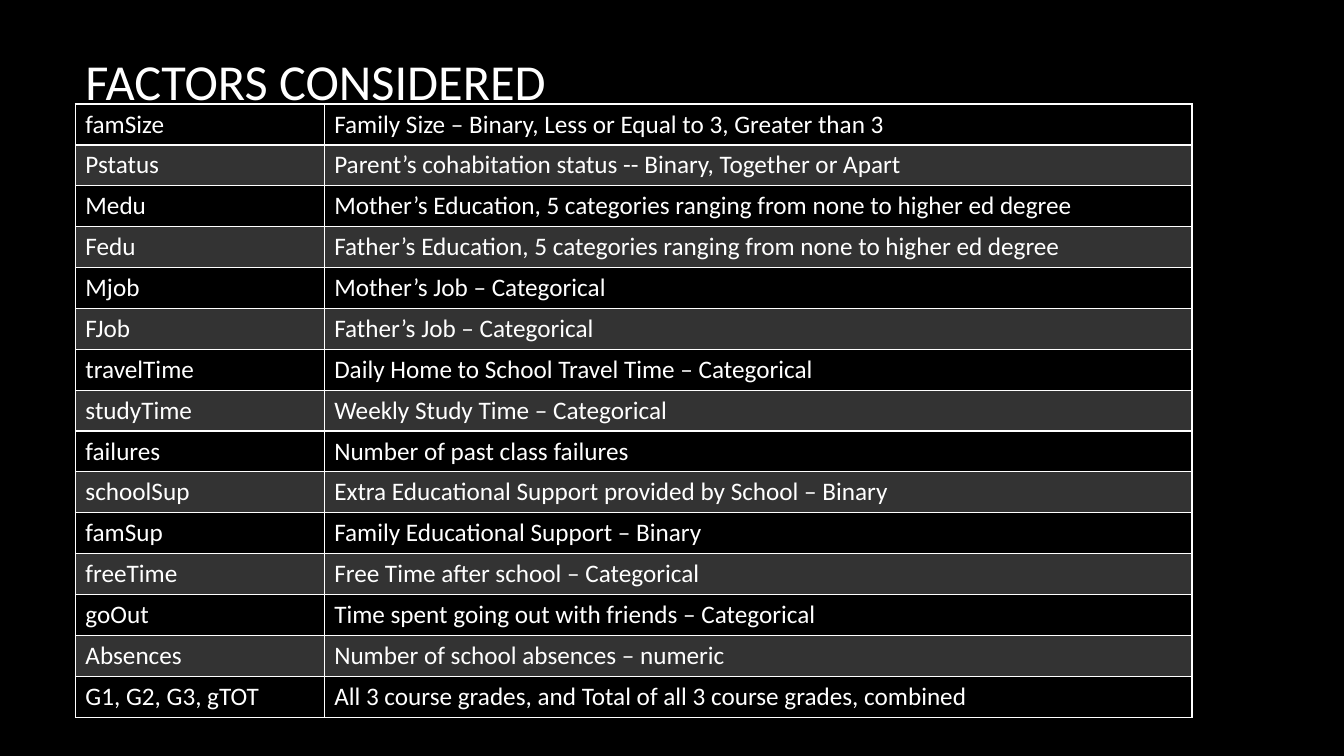
from lxml.etree import SubElement
from pptx import Presentation
from pptx.dml.color import RGBColor
from pptx.enum.text import MSO_ANCHOR as Anchor
from pptx.oxml.ns import qn
from pptx.util import Cm, Pt

TITLE = "FACTORS CONSIDERED"
FACTORS = [
    ("famSize", "Family Size – Binary, Less or Equal to 3, Greater than 3"),
    ("Pstatus", "Parent’s cohabitation status -- Binary, Together or Apart"),
    ("Medu", "Mother’s Education, 5 categories ranging from none to higher ed degree"),
    ("Fedu", "Father’s Education, 5 categories ranging from none to higher ed degree"),
    ("Mjob", "Mother’s Job – Categorical"),
    ("FJob", "Father’s Job – Categorical"),
    ("travelTime", "Daily Home to School Travel Time – Categorical"),
    ("studyTime", "Weekly Study Time – Categorical"),
    ("failures", "Number of past class failures"),
    ("schoolSup", "Extra Educational Support provided by School – Binary"),
    ("famSup", "Family Educational Support – Binary"),
    ("freeTime", "Free Time after school – Categorical"),
    ("goOut", "Time spent going out with friends – Categorical"),
    ("Absences", "Number of school absences – numeric"),
    ("G1, G2, G3, gTOT", "All 3 course grades, and Total of all 3 course grades, combined"),
]
BLACK, WHITE = "000000", "FFFFFF"
BAND_ALPHA = 20
LEFT, TOP, ROW_H = 1.9, 2.62, 1.03
COL_W = [6.27, 21.87]
TITLE_H = 4.04
TITLE_FONT = {"name": "Calibri", "size": Pt(36)}
CELL_FONT = {"name": "Calibri", "size": Pt(18)}


def paint(fmt, color):
    fmt.solid()
    fmt.fore_color.rgb = RGBColor.from_string(color)


def write(tf, text, font):
    r = tf.paragraphs[0].add_run()
    r.text = text
    for key, value in font.items():
        setattr(r.font, key, value)
    paint(r.font.fill, WHITE)


def add_border(cell, side, width):
    tc_pr = cell._tc.get_or_add_tcPr()
    ln = SubElement(tc_pr, qn(f"a:ln{side}"), w=str(Pt(width)))
    SubElement(SubElement(ln, qn("a:solidFill")), qn("a:srgbClr"), val=WHITE)


def fill_band(cell):
    paint(cell.fill, WHITE)
    color = cell._tc.tcPr.find(f"{qn('a:solidFill')}/{qn('a:srgbClr')}")
    SubElement(color, qn("a:alpha"), val=str(BAND_ALPHA * 1000))


prs = Presentation()
prs.slide_width, prs.slide_height = Cm(33.87), Cm(19.05)
s = prs.slides.add_slide(prs.slide_layouts[6])
paint(s.background.fill, BLACK)

title = s.shapes.add_textbox(Cm(LEFT), Cm(0), Cm(sum(COL_W)), Cm(TITLE_H))
tf = title.text_frame
tf.word_wrap = True
tf.vertical_anchor = Anchor.MIDDLE
write(tf, TITLE, TITLE_FONT)

table = s.shapes.add_table(len(FACTORS), len(COL_W), Cm(LEFT), Cm(TOP),
                           Cm(sum(COL_W)), Cm(ROW_H * len(FACTORS))).table
table.first_row = table.horz_banding = False
for col, width in zip(table.columns, COL_W):
    col.width = Cm(width)
for i, factor in enumerate(FACTORS):
    table.rows[i].height = Cm(ROW_H)
    for j, text in enumerate(factor):
        cell = table.cell(i, j)
        write(cell.text_frame, text, CELL_FONT)
        for side in "LRTB":
            heavy = (i, side) in ((0, "B"), (1, "T"))
            add_border(cell, side, 2 if heavy else 1)
        if i % 2:
            fill_band(cell)
        else:
            cell.fill.background()

prs.save("out.pptx")
